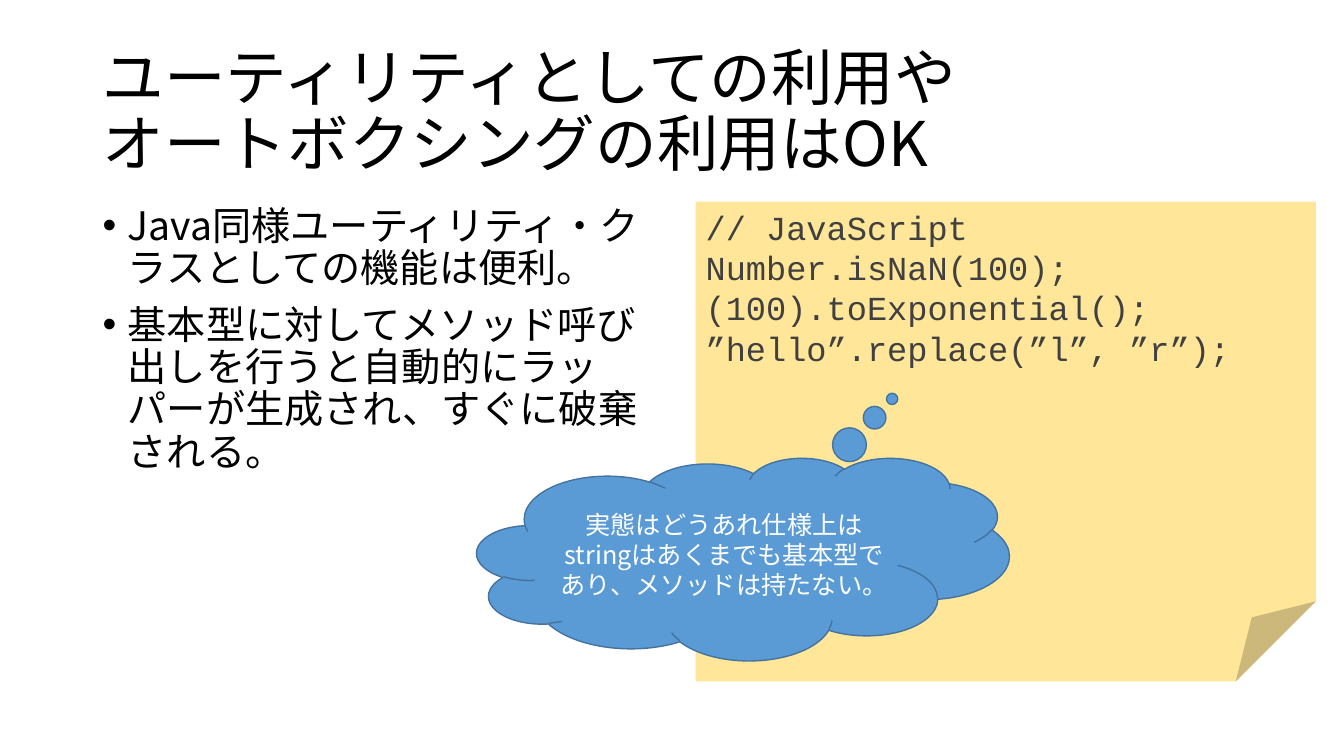
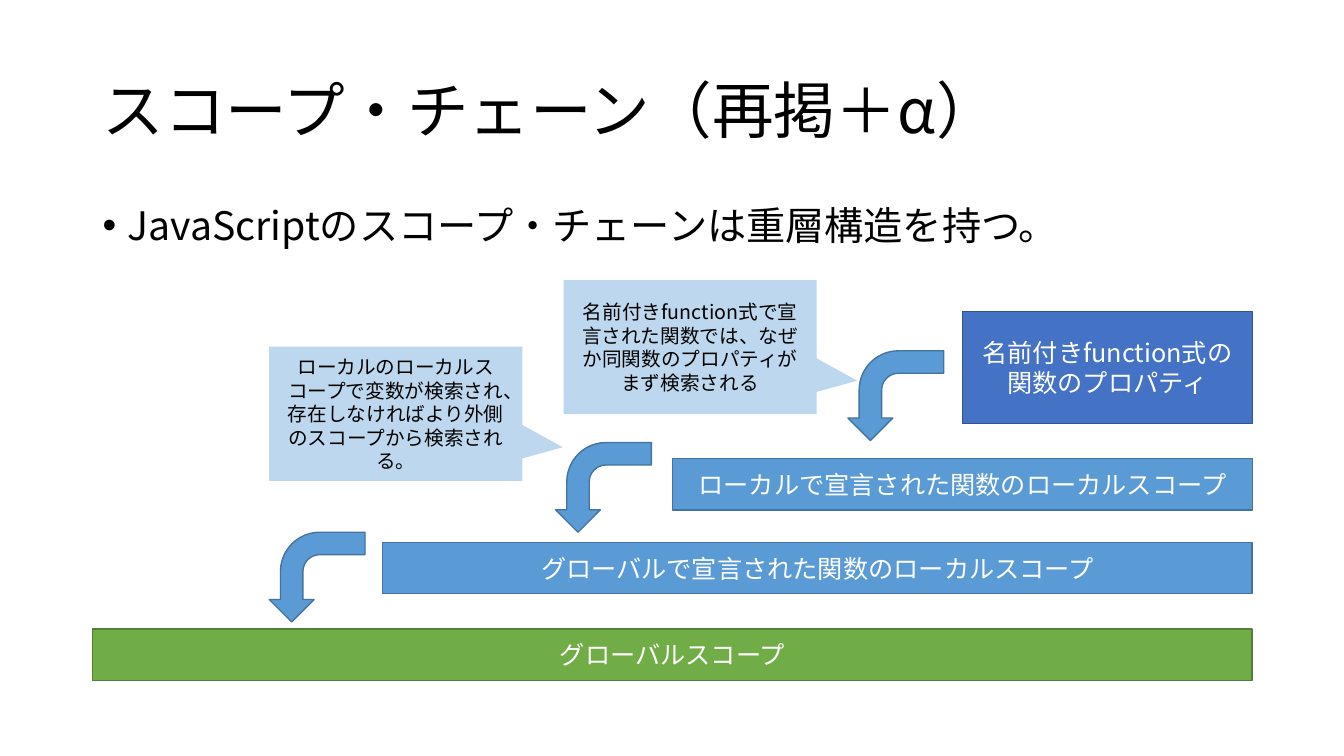
from lxml.etree import SubElement
from pptx import Presentation
from pptx.dml.color import RGBColor
from pptx.enum.shapes import MSO_SHAPE
from pptx.enum.text import MSO_ANCHOR, PP_ALIGN
from pptx.oxml.ns import qn
from pptx.util import Inches, Pt

COLORS = {
    "text": "000000", "code": "404040", "white": "FFFFFF",
    "note": "FFE699", "callout": "BDD7EE",
    "blue": "5B9BD5", "blue_edge": "43739E",
    "green": "70AD47", "green_edge": "538035",
    "indigo": "4472C4", "indigo_edge": "325491",
}
SANS, MONO = "Noto Sans CJK JP", "Courier New"
MARGIN, CONTENT_WIDTH, BODY_TOP, BODY_HEIGHT = 0.92, 11.5, 2, 4.76

UTILITY = {
    "title": "ユーティリティとしての利用や\vオートボクシングの利用はOK",
    "bullets": [
        "Java同様ユーティリティ・クラスとしての機能は便利。",
        "基本型に対してメソッド呼び出しを行うと自動的にラッパーが生成され、すぐに破棄される。",
    ],
    "code": [
        "// JavaScript",
        "Number.isNaN(100);",
        "(100).toExponential();",
        "”hello”.replace(”l”, ”r”);",
    ],
    "thought": ["実態はどうあれ仕様上はstringはあくまでも基本型であり、メソッドは持たない。"],
}
SCOPE_CHAIN = {
    "title": "スコープ・チェーン（再掲＋α）",
    "bullets": ["JavaScriptのスコープ・チェーンは重層構造を持つ。"],
    "scopes": [
        (["グローバルスコープ"], 6.24, 0.51, "green"),
        (["グローバルで宣言された関数のローカルスコープ"], 5.38, 0.51, "blue"),
        (["ローカルで宣言された関数のローカルスコープ"], 4.55, 0.51, "blue"),
        (["名前付きfunction式の", "関数のプロパティ"], 3.09, 1.11, "indigo"),
    ],
    "arrows": [(8.44, 3.45), (5.54, 4.36), (2.7, 5.25)],
    "callouts": [
        (5.59, 2.78, "名前付きfunction式で宣言された関数では、なぜか同関数のプロパティがまず検索される"),
        (2.67, 3.44, "ローカルのローカルスコープで変数が検索され、存在しなければより外側のスコープから検索される。"),
    ],
}


def rgb(name):
    return RGBColor.from_string(COLORS[name])


def write(frame, lines, size, color, font=SANS, align=PP_ALIGN.LEFT,
          anchor=MSO_ANCHOR.MIDDLE, spacing=None, bulleted=False):
    frame.word_wrap = True
    frame.vertical_anchor = anchor
    for index, line in enumerate(lines):
        paragraph = frame.add_paragraph() if index else frame.paragraphs[0]
        paragraph.text = line
        paragraph.alignment = align
        if spacing:
            paragraph.line_spacing = spacing
        if bulleted:
            if index:
                paragraph.space_before = Pt(10)
            properties = paragraph._p.get_or_add_pPr()
            properties.set("marL", str(Inches(0.25)))
            properties.set("indent", str(Inches(-0.25)))
            SubElement(properties, qn("a:buFont"), typeface="Arial")
            SubElement(properties, qn("a:buChar"), char="•")
        for run in paragraph.runs:
            run.font.size = Pt(size)
            run.font.color.rgb = rgb(color)
            run.font.name = font
            SubElement(run._r.get_or_add_rPr(), qn("a:ea"), typeface=font)


def add_text(slide, box, lines, size, **style):
    frame = slide.shapes.add_textbox(*map(Inches, box)).text_frame
    write(frame, lines, size, "text", spacing=0.9, **style)


def add_figure(slide, preset, box, fill, edge=None, adjustments=()):
    figure = slide.shapes.add_shape(preset, *map(Inches, box))
    figure.shadow.inherit = False
    figure.fill.solid()
    figure.fill.fore_color.rgb = rgb(fill)
    if edge:
        figure.line.color.rgb = rgb(edge)
        figure.line.width = Pt(1)
    else:
        figure.line.fill.background()
    for index, value in enumerate(adjustments):
        figure.adjustments[index] = value
    return figure


def add_slide(deck, content, body_width):
    slide = deck.slides.add_slide(deck.slide_layouts[6])
    add_text(slide, (MARGIN, 0.4, CONTENT_WIDTH, 1.45), [content["title"]], 44)
    add_text(slide, (MARGIN, BODY_TOP, body_width, BODY_HEIGHT), content["bullets"], 28,
             anchor=MSO_ANCHOR.TOP, bulleted=True)
    return slide


def build_utility(deck):
    slide = add_slide(deck, UTILITY, 5.54)
    note = add_figure(slide, MSO_SHAPE.FOLDED_CORNER,
                      (6.9, BODY_TOP, 6.15, BODY_HEIGHT), "note")
    write(note.text_frame, UTILITY["code"], 24, "code", MONO, anchor=MSO_ANCHOR.TOP)
    cloud = add_figure(slide, MSO_SHAPE.CLOUD_CALLOUT, (4.73, 4.54, 5.28, 2.01),
                       "blue", "blue_edge", (0.28, -0.79))
    write(cloud.text_frame, UTILITY["thought"], 18, "white", align=PP_ALIGN.CENTER)


def build_scope_chain(deck):
    slide = add_slide(deck, SCOPE_CHAIN, CONTENT_WIDTH)
    scopes = SCOPE_CHAIN["scopes"]
    step = CONTENT_WIDTH / len(scopes)
    for level, (lines, top, height, color) in enumerate(scopes):
        indent = level * step
        scope = add_figure(slide, MSO_SHAPE.RECTANGLE,
                           (MARGIN + indent, top, CONTENT_WIDTH - indent, height),
                           color, f"{color}_edge")
        write(scope.text_frame, lines, 18, "white", align=PP_ALIGN.CENTER)
    for left, top in SCOPE_CHAIN["arrows"]:
        arrow = add_figure(slide, MSO_SHAPE.BENT_ARROW, (left, top, 0.89, 0.95),
                           "blue", "blue_edge")
        arrow.rotation = 270
        arrow._element.spPr.get_or_add_xfrm().set("flipH", "1")
    for left, top, line in SCOPE_CHAIN["callouts"]:
        callout = add_figure(slide, MSO_SHAPE.RECTANGULAR_CALLOUT, (left, top, 2.51, 1.33),
                             "callout", adjustments=(0.66, 0.25))
        write(callout.text_frame, [line], 14, "text", align=PP_ALIGN.CENTER)


def main():
    deck = Presentation()
    deck.slide_width, deck.slide_height = Inches(13.33), Inches(7.5)
    build_utility(deck)
    build_scope_chain(deck)
    deck.save("out.pptx")


if __name__ == "__main__":
    main()
